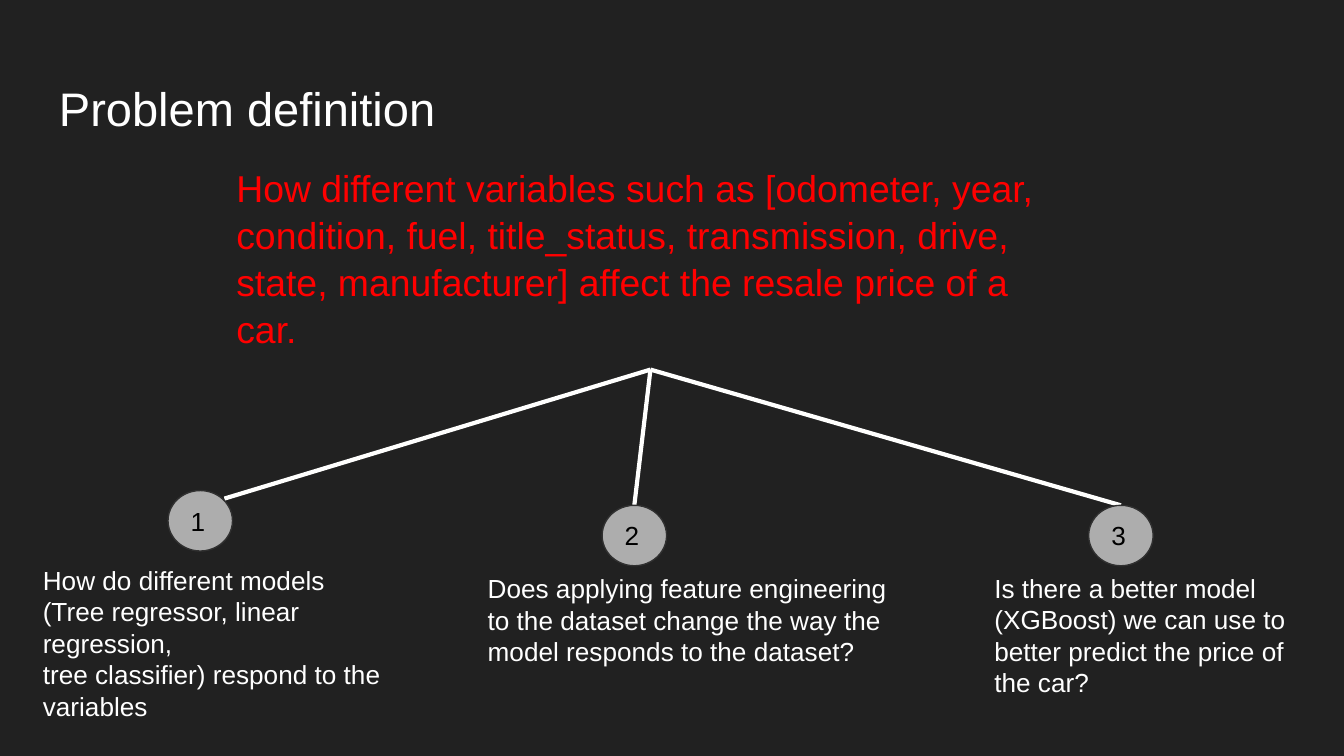
from lxml import etree
from pptx import Presentation
from pptx.dml.color import RGBColor
from pptx.enum.shapes import MSO_CONNECTOR as Connector, MSO_SHAPE as Shape
from pptx.enum.text import MSO_ANCHOR as Anchor, PP_ALIGN as Align
from pptx.oxml.ns import qn
from pptx.util import Inches, Pt

COLORS = {
    "background": "212121",
    "text": "FFFFFF",
    "problem": "FF0000",
    "branch": "FFFFFE",
    "badge": "ADADAD",
    "badge_edge": "303030",
    "number": "000000",
}


def color(name):
    return RGBColor.from_string(COLORS[name])


def write(frame, text, size=14, ink="text", anchor=Anchor.TOP, spacing=1.0, after=0):
    frame.word_wrap = True
    frame.vertical_anchor = anchor
    frame.margin_left = frame.margin_right = Inches(0.1)
    frame.margin_top = frame.margin_bottom = Inches(0.1)
    frame.text = text
    for paragraph in frame.paragraphs:
        paragraph.alignment = Align.LEFT
        paragraph.line_spacing = spacing
        paragraph.space_after = Pt(after)
        font = paragraph.runs[0].font
        font.name = "Arial"
        font.size = Pt(size)
        font.color.rgb = color(ink)


class ProblemSlide:
    """Draws the elements of a problem tree on one dark slide."""

    badge_width, badge_height = 0.48, 0.45

    def __init__(self, slide):
        self.slide = slide
        fill = slide.background.fill
        fill.solid()
        fill.fore_color.rgb = color("background")

    def text(self, box, content, **style):
        label = self.slide.shapes.add_textbox(*map(Inches, box))
        write(label.text_frame, content, **style)

    def branch(self, start, end):
        line = self.slide.shapes.add_connector(
            Connector.STRAIGHT, *map(Inches, (*start, *end))
        )
        line.line.color.rgb = color("branch")
        line.line.width = Pt(2.25)
        etree.SubElement(line._element.spPr, qn("a:effectLst"))

    def badge(self, left, top, number):
        box = (left, top, self.badge_width, self.badge_height)
        circle = self.slide.shapes.add_shape(Shape.OVAL, *map(Inches, box))
        circle.shadow.inherit = False
        circle.fill.solid()
        circle.fill.fore_color.rgb = color("badge")
        circle.line.color.rgb = color("badge_edge")
        circle.line.width = Pt(0.75)
        write(circle.text_frame, str(number), ink="number", anchor=Anchor.MIDDLE)


def main():
    deck = Presentation()
    deck.slide_width = Inches(10)
    deck.slide_height = Inches(10 * 9 / 16)
    page = ProblemSlide(deck.slides.add_slide(deck.slide_layouts[6]))

    page.text((0.34, 0.49, 9.32, 0.63), "Problem definition", size=25.2)
    page.text(
        (1.66, 1.11, 6.35, 1.63),
        "How different variables such as [odometer, year, condition, fuel, "
        "title_status, transmission, drive, state, manufacturer] affect the "
        "resale price of a car.",
        size=20, ink="problem", spacing=1.05, after=12,
    )

    root = (4.84, 2.75)
    questions = [
        ((0.22, 4.1, 2.72, 1.27), (1.67, 3.71), (1.25, 3.65),
         "How do different models\n(Tree regressor, linear regression,\n"
         "tree classifier) respond to the variables"),
        ((3.53, 4.16, 3.21, 0.91), (4.72, 3.76), (4.48, 3.76),
         "Does applying feature engineering to the dataset change the way "
         "the model responds to the dataset?"),
        ((7.3, 4.16, 2.52, 1.14), (8.34, 3.76), (8.1, 3.76),
         "Is there a better model (XGBoost) we can use to better predict "
         "the price of the car?"),
    ]
    for number, (box, branch_end, corner, question) in enumerate(questions, 1):
        page.text(box, question)
        page.branch(root, branch_end)
        page.badge(*corner, number)

    deck.save("out.pptx")


if __name__ == "__main__":
    main()
